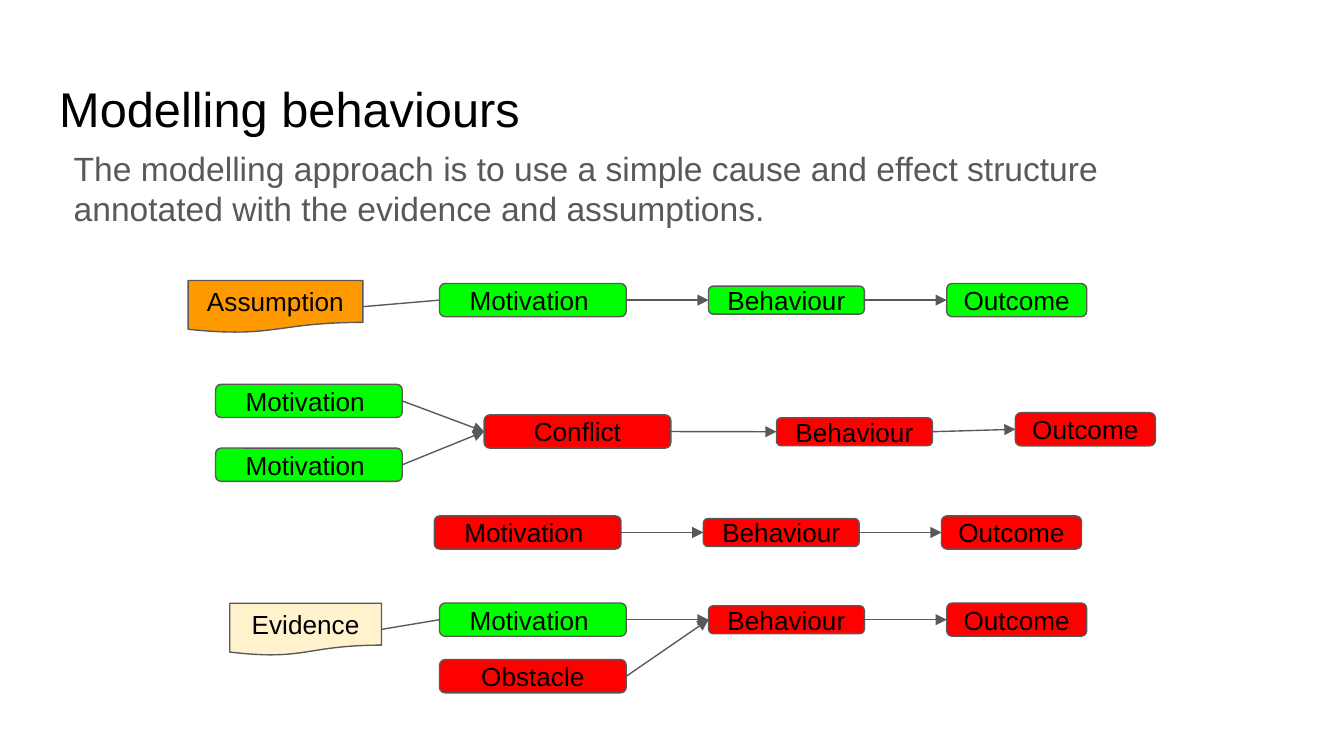
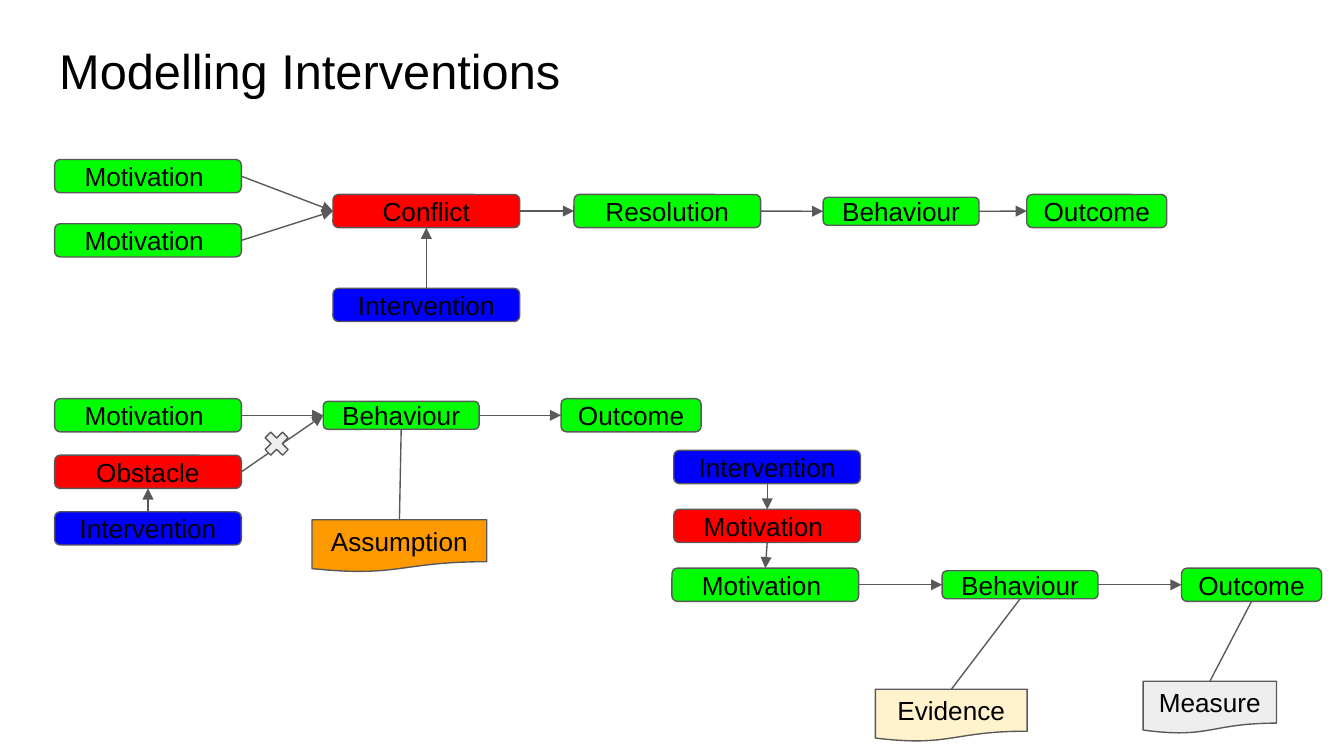
from lxml.etree import SubElement
from pptx import Presentation
from pptx.dml.color import RGBColor
from pptx.enum.shapes import MSO_CONNECTOR, MSO_SHAPE
from pptx.enum.text import MSO_ANCHOR, MSO_AUTO_SIZE, PP_ALIGN
from pptx.oxml.ns import qn
from pptx.util import Pt

BLACK = RGBColor(0x00, 0x00, 0x00)
GREY = RGBColor(0x59, 0x59, 0x59)
GREEN = RGBColor(0x00, 0xFF, 0x00)
RED = RGBColor(0xFF, 0x00, 0x00)
BLUE = RGBColor(0x00, 0x00, 0xFF)
ORANGE = RGBColor(0xFF, 0x99, 0x00)
CREAM = RGBColor(0xFF, 0xF2, 0xCC)
SILVER = RGBColor(0xEE, 0xEE, 0xEE)

# Connection sites of a box
TOP, LEFT, BOTTOM, RIGHT = range(4)

# Width and height by label; every other label takes the standard box
STANDARD_SIZE = (100, 17.8)
SIZES = {
    "Behaviour": (83.5, 15),
    "Outcome": (75, 17.8),
    "Assumption": (93.6, 28),
    "Evidence": (81.3, 28),
    "Measure": (71.5, 28),
}
NOTES = ("Assumption", "Evidence", "Measure")
CHAIN_LABELS = ("Motivation ", "Behaviour", "Outcome")

FRAME_FORMAT = {
    "word_wrap": True,
    "auto_size": MSO_AUTO_SIZE.NONE,
    "margin_left": Pt(7.2),
    "margin_right": Pt(7.2),
    "margin_top": Pt(7.2),
    "margin_bottom": Pt(7.2),
}


def write_text(shape, text, size, color, alignment, anchor):
    frame = shape.text_frame
    for name, value in {**FRAME_FORMAT, "vertical_anchor": anchor}.items():
        setattr(frame, name, value)
    paragraph = frame.paragraphs[0]
    paragraph.alignment = alignment
    run = paragraph.add_run()
    run.text = text
    for name, value in {"name": "Arial", "size": Pt(size)}.items():
        setattr(run.font, name, value)
    run.font.color.rgb = color


def outline_shape(shape, fill):
    shape.shadow.inherit = False
    shape.fill.solid()
    shape.fill.fore_color.rgb = fill
    shape.line.color.rgb = GREY
    shape.line.width = Pt(0.75)


# Each chain: key, left, middle, gap between steps, colours of its three steps
# Each box: key, label, fill, left, middle
# Each link: from, to, start site, end site (rightwards when not given)
# A link that starts at a note has no arrowhead
DIAGRAMS = [
    {
        "title": "Modelling behaviours",
        "title top": 35,
        "chains": [
            ("good", 235.5, 160.8, 44.1, (GREEN, GREEN, GREEN)),
            ("bad", 232.7, 285.3, 44.1, (RED, RED, RED)),
            ("blocked", 235.5, 332, 44.1, (GREEN, RED, RED)),
        ],
        "boxes": [
            ("obstacle", "Obstacle", RED, 235.5, 362.3),
            ("evidence", "Evidence", CREAM, 123.1, 337.2),
            ("assumption", "Assumption", ORANGE, 100.8, 164.3),
            ("motive 1", "Motivation ", GREEN, 115.5, 214.8),
            ("motive 2", "Motivation ", GREEN, 115.5, 249),
            ("conflict", "Conflict", RED, 259.4, 231.2),
            ("conflict behaviour", "Behaviour", RED, 416, 231.3),
            ("conflict outcome", "Outcome", RED, 544, 230),
        ],
        "links": [
            ("obstacle", "blocked Behaviour"),
            ("assumption", "good Motivation"),
            ("evidence", "blocked Motivation"),
            ("motive 1", "conflict"),
            ("motive 2", "conflict"),
            ("conflict", "conflict behaviour"),
            ("conflict behaviour", "conflict outcome"),
        ],
    },
    {
        "title": "Modelling Interventions",
        "title top": 14.7,
        "chains": [
            ("helped", 29.3, 222.5, 43.9, (GREEN, GREEN, GREEN)),
            ("changed", 360, 313.3, 44.75, (GREEN, GREEN, GREEN)),
        ],
        "boxes": [
            ("conflict intervention", "Intervention", BLUE, 178.4, 163.4),
            ("motive 1", "Motivation ", GREEN, 29.3, 94.4),
            ("motive 2", "Motivation ", GREEN, 29.3, 128.8),
            ("resolution", "Resolution", GREEN, 307.5, 113.1),
            ("resolved behaviour", "Behaviour", GREEN, 441, 113.2),
            ("resolved outcome", "Outcome", GREEN, 550.1, 113.1),
            ("conflict", "Conflict", RED, 178.4, 113.1),
            ("obstacle", "Obstacle", RED, 29.3, 252.8),
            ("obstacle intervention", "Intervention", BLUE, 29.3, 283.1),
            ("assumption", "Assumption", ORANGE, 167.2, 292.5),
            ("motive intervention", "Intervention", BLUE, 361, 250.2),
            ("old motive", "Motivation ", RED, 361, 281.8),
            ("evidence", "Evidence", CREAM, 469, 383.3),
            ("measure", "Measure", SILVER, 612.4, 379),
        ],
        "links": [
            ("motive 1", "conflict"),
            ("motive 2", "conflict"),
            ("conflict", "resolution"),
            ("resolution", "resolved behaviour"),
            ("resolved behaviour", "resolved outcome"),
            ("conflict intervention", "conflict", TOP, BOTTOM),
            ("obstacle", "helped Behaviour"),
            ("obstacle intervention", "obstacle", TOP, BOTTOM),
            ("assumption", "helped Behaviour", TOP, BOTTOM),
            ("motive intervention", "old motive", BOTTOM, TOP),
            ("old motive", "changed Motivation", BOTTOM, TOP),
            ("evidence", "changed Behaviour", TOP, BOTTOM),
            ("measure", "changed Outcome", TOP, BOTTOM),
        ],
    },
]

presentation = Presentation()
presentation.slide_width = Pt(720)
presentation.slide_height = Pt(405)

for diagram in DIAGRAMS:
    slide = presentation.slides.add_slide(presentation.slide_layouts[5])

    # Title
    title = slide.shapes.title
    title.left, title.top = Pt(24.5), Pt(diagram["title top"])
    title.width, title.height = Pt(671), Pt(45.1)
    write_text(title, diagram["title"], 26.1, BLACK, PP_ALIGN.LEFT, MSO_ANCHOR.TOP)

    # Spread the chains into boxes and links
    boxes, links = list(diagram["boxes"]), list(diagram["links"])
    for key, left, middle, gap, fills in diagram["chains"]:
        names = [f"{key} {label.strip()}" for label in CHAIN_LABELS]
        for name, label, fill in zip(names, CHAIN_LABELS, fills):
            boxes.append((name, label, fill, left, middle))
            left += SIZES.get(label, STANDARD_SIZE)[0] + gap
        links.extend(zip(names, names[1:]))

    # Boxes and notes
    shapes = {}
    for key, label, fill, left, middle in boxes:
        width, height = SIZES.get(label, STANDARD_SIZE)
        preset = MSO_SHAPE.FLOWCHART_DOCUMENT if label in NOTES else MSO_SHAPE.ROUNDED_RECTANGLE
        shape = slide.shapes.add_shape(
            preset, Pt(left), Pt(middle - height / 2), Pt(width), Pt(height))
        outline_shape(shape, fill)
        write_text(shape, label, 14, BLACK, PP_ALIGN.CENTER, MSO_ANCHOR.MIDDLE)
        shapes[key] = shape

    # Links
    for start, end, *sites in links:
        start_site, end_site = sites or (RIGHT, LEFT)
        connector = slide.shapes.add_connector(MSO_CONNECTOR.STRAIGHT, 0, 0, 0, 0)
        connector.begin_connect(shapes[start], start_site)
        connector.end_connect(shapes[end], end_site)
        connector.line.color.rgb = GREY
        connector.line.width = Pt(0.75)
        if shapes[start].text_frame.text not in NOTES:
            SubElement(connector.line._get_or_add_ln(), qn("a:tailEnd"), type="triangle")
        SubElement(connector._element.spPr, qn("a:effectLst"))

# Introduction on the first slide
behaviours, interventions = presentation.slides
introduction = behaviours.shapes.add_textbox(Pt(32.4), Pt(72), Pt(601), Pt(54.7))
write_text(
    introduction,
    "The modelling approach is to use a simple cause and effect structure "
    "annotated with the evidence and assumptions.",
    18, GREY, PP_ALIGN.LEFT, MSO_ANCHOR.TOP)

# Cross on the link from the obstacle
cross = interventions.shapes.add_shape(
    MSO_SHAPE.MATH_MULTIPLY, Pt(139.2), Pt(228.7), Pt(18), Pt(18))
outline_shape(cross, SILVER)

presentation.save("out.pptx")
